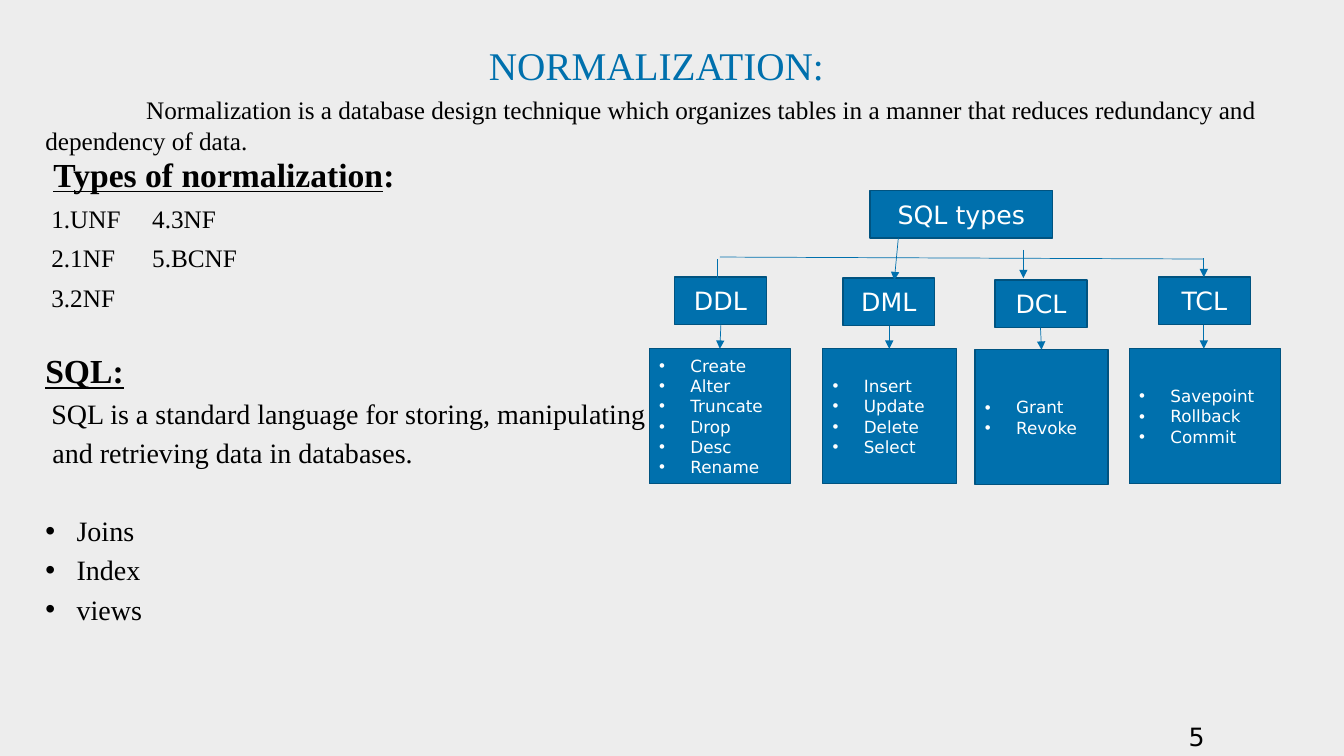
from dataclasses import dataclass, field

from lxml.etree import SubElement
from pptx import Presentation
from pptx.dml.color import RGBColor
from pptx.enum.shapes import MSO_CONNECTOR, MSO_SHAPE
from pptx.enum.text import MSO_ANCHOR, MSO_AUTO_SIZE, PP_ALIGN
from pptx.oxml.ns import qn
from pptx.slide import Slide
from pptx.text.text import TextFrame, _Paragraph
from pptx.util import Inches, Pt

BLUE, EDGE, BLACK, WHITE, GREY = "0070AD", "005380", "000000", "FFFFFF", "EDEDED"
SERIF, SANS = "Times New Roman", "DejaVu Sans"
BULLET_INDENT = 0.31
COLUMN_STOP = 3.0
BOX_HEIGHT = 0.47
LIST_HEIGHT = 1.34


@dataclass
class Line:
    text: str
    size: int = 18
    indent: float = 0.06
    first: float = 0
    gap: int = 0
    bullet: bool = False
    style: dict = field(default_factory=dict)
    tail: str = ""


@dataclass
class Branch:
    name: str
    left: float
    top: float
    list_left: float
    list_top: float
    list_width: float
    commands: list[str]


@dataclass
class Link:
    start: tuple[float, float]
    end: tuple[float, float]
    arrow: bool = True


HEADING = {"bold": True, "underline": True}
LINES = [
    Line("Normalization is a database design technique which organizes tables in a manner "
         "that reduces redundancy and dependency of data.", indent=0, first=1),
    Line("Types of normalization", 24, 0.08, style=HEADING, tail=":"),
    Line("1.UNF\t4.3NF"),
    Line("2.1NF\t5.BCNF"),
    Line("3.2NF"),
    Line("SQL:", 24, 0, gap=28, style=HEADING),
    Line("SQL is a standard language for storing, manipulating", 20),
    Line("and retrieving data in databases.", 20, 0.07),
    Line("Joins", 20, gap=28, bullet=True),
    Line("Index", 20, bullet=True),
    Line("views", 20, bullet=True),
]
BRANCHES = [
    Branch("DDL", 6.69, 2.75, 6.44, 3.46, 1.4,
           ["Create", "Alter", "Truncate", "Drop", "Desc", "Rename"]),
    Branch("DML", 8.36, 2.76, 8.16, 3.46, 1.33, ["Insert", "Update", "Delete", "Select"]),
    Branch("DCL", 9.87, 2.78, 9.67, 3.47, 1.32, ["Grant", "Revoke"]),
    Branch("TCL", 11.49, 2.75, 11.2, 3.46, 1.5, ["Savepoint", "Rollback", "Commit"]),
]
UPPER_LINKS = [
    Link((7.14, 2.55), (11.94, 2.57), arrow=False),
    Link((8.91, 2.36), (8.87, 2.78)),
    Link((10.15, 2.48), (10.15, 2.76)),
    Link((7.12, 2.57), (7.12, 2.85)),
    Link((11.94, 2.56), (11.94, 2.75)),
]
LOWER_LINKS = [
    Link((7.15, 3.22), (7.14, 3.46)),
    Link((8.82, 3.23), (8.82, 3.46)),
    Link((10.32, 3.25), (10.33, 3.47)),
    Link((11.94, 3.22), (11.94, 3.46)),
    Link((6.94, 4.17), (6.94, 4.4)),
]


def colour(value: str) -> RGBColor:
    return RGBColor.from_string(value)


def add_text(paragraph: _Paragraph, text: str, size: int, face: str, ink: str,
             style: dict | None = None) -> None:
    run = paragraph.add_run()
    run.text = text
    for name, value in {"size": Pt(size), "name": face, **(style or {})}.items():
        setattr(run.font, name, value)
    run.font.color.rgb = colour(ink)


def indent(paragraph: _Paragraph, left: float, first: float) -> None:
    properties = paragraph._p.get_or_add_pPr()
    properties.set("marL", str(Inches(left)))
    properties.set("indent", str(Inches(first)))


def add_bullet(paragraph: _Paragraph) -> None:
    indent(paragraph, BULLET_INDENT, -BULLET_INDENT)
    properties = paragraph._p.get_or_add_pPr()
    SubElement(properties, qn("a:buFont"), typeface="Arial")
    SubElement(properties, qn("a:buChar"), char="•")


def set_frame(frame: TextFrame, anchor: MSO_ANCHOR, margin: float | None = None) -> None:
    settings = {"word_wrap": True, "auto_size": MSO_AUTO_SIZE.NONE, "vertical_anchor": anchor}
    if margin is not None:
        sides = ("left", "right", "top", "bottom")
        settings |= {f"margin_{side}": Inches(margin) for side in sides}
    for name, value in settings.items():
        setattr(frame, name, value)


def next_paragraph(frame: TextFrame, index: int) -> _Paragraph:
    return frame.add_paragraph() if index else frame.paragraphs[0]


def draw_title(slide: Slide) -> None:
    title = slide.shapes.title
    place = {"left": 0.45, "top": 0.46, "width": 12.12, "height": 0.94}
    for name, value in place.items():
        setattr(title, name, Inches(value))
    set_frame(title.text_frame, MSO_ANCHOR.TOP, 0)
    heading = title.text_frame.paragraphs[0]
    heading.alignment = PP_ALIGN.CENTER
    heading.line_spacing = 0.9
    add_text(heading, "NORMALIZATION:", 28, SERIF, BLUE)


def draw_body(slide: Slide) -> None:
    body = slide.shapes.add_textbox(Inches(0.45), Inches(0.93), Inches(12.44), Inches(5.74))
    frame = body.text_frame
    set_frame(frame, MSO_ANCHOR.TOP, 0)
    spacing = {"line_spacing": Pt(22), "space_after": Pt(6)}
    for index, line in enumerate(LINES):
        paragraph = next_paragraph(frame, index)
        for name, value in {**spacing, "space_before": Pt(line.gap)}.items():
            setattr(paragraph, name, value)
        if line.bullet:
            add_bullet(paragraph)
        else:
            indent(paragraph, line.indent, line.first)
        if "\t" in line.text:
            stops = SubElement(paragraph._p.get_or_add_pPr(), qn("a:tabLst"))
            SubElement(stops, qn("a:tab"), pos=str(Inches(COLUMN_STOP)), algn="l")
        add_text(paragraph, line.text, line.size, SERIF, BLACK, line.style)
        if line.tail:
            add_text(paragraph, line.tail, line.size, SERIF, BLACK, {"bold": True})


def draw_box(slide: Slide, left: float, top: float, width: float, height: float,
             texts: list[str], size: int = 18, bullets: bool = False) -> None:
    box = slide.shapes.add_shape(MSO_SHAPE.RECTANGLE, *map(Inches, (left, top, width, height)))
    box.shadow.inherit = False
    box.fill.solid()
    box.fill.fore_color.rgb = colour(BLUE)
    box.line.color.rgb = colour(EDGE)
    box.line.width = Pt(1)
    set_frame(box.text_frame, MSO_ANCHOR.MIDDLE)
    for index, text in enumerate(texts):
        paragraph = next_paragraph(box.text_frame, index)
        paragraph.alignment = PP_ALIGN.LEFT if bullets else PP_ALIGN.CENTER
        if bullets:
            add_bullet(paragraph)
        add_text(paragraph, text, size, SANS, WHITE)


def draw_link(slide: Slide, link: Link) -> None:
    ends = map(Inches, (*link.start, *link.end))
    connector = slide.shapes.add_connector(MSO_CONNECTOR.STRAIGHT, *ends)
    connector.line.color.rgb = colour(BLUE)
    connector.line.width = Pt(0.5)
    if link.arrow:
        SubElement(connector.line._get_or_add_ln(), qn("a:tailEnd"), type="triangle")
    SubElement(connector._element.spPr, qn("a:effectLst"))


def main() -> None:
    deck = Presentation()
    deck.slide_width, deck.slide_height = Inches(13.33), Inches(7.5)
    slide = deck.slides.add_slide(deck.slide_layouts[5])
    slide.background.fill.solid()
    slide.background.fill.fore_color.rgb = colour(GREY)
    draw_title(slide)
    draw_body(slide)
    number = slide.shapes.add_textbox(Inches(11.69), Inches(7.11), Inches(1.5), Inches(0.4))
    add_text(number.text_frame.paragraphs[0], "5", 18, SANS, BLACK)
    draw_box(slide, 8.63, 1.89, 1.81, BOX_HEIGHT, ["SQL types"])
    for branch in BRANCHES:
        draw_box(slide, branch.left, branch.top, 0.91, BOX_HEIGHT, [branch.name])
        draw_box(slide, branch.list_left, branch.list_top, branch.list_width, LIST_HEIGHT,
                 branch.commands, 12, True)
    for link in UPPER_LINKS + LOWER_LINKS:
        draw_link(slide, link)
    deck.save("out.pptx")


if __name__ == "__main__":
    main()
